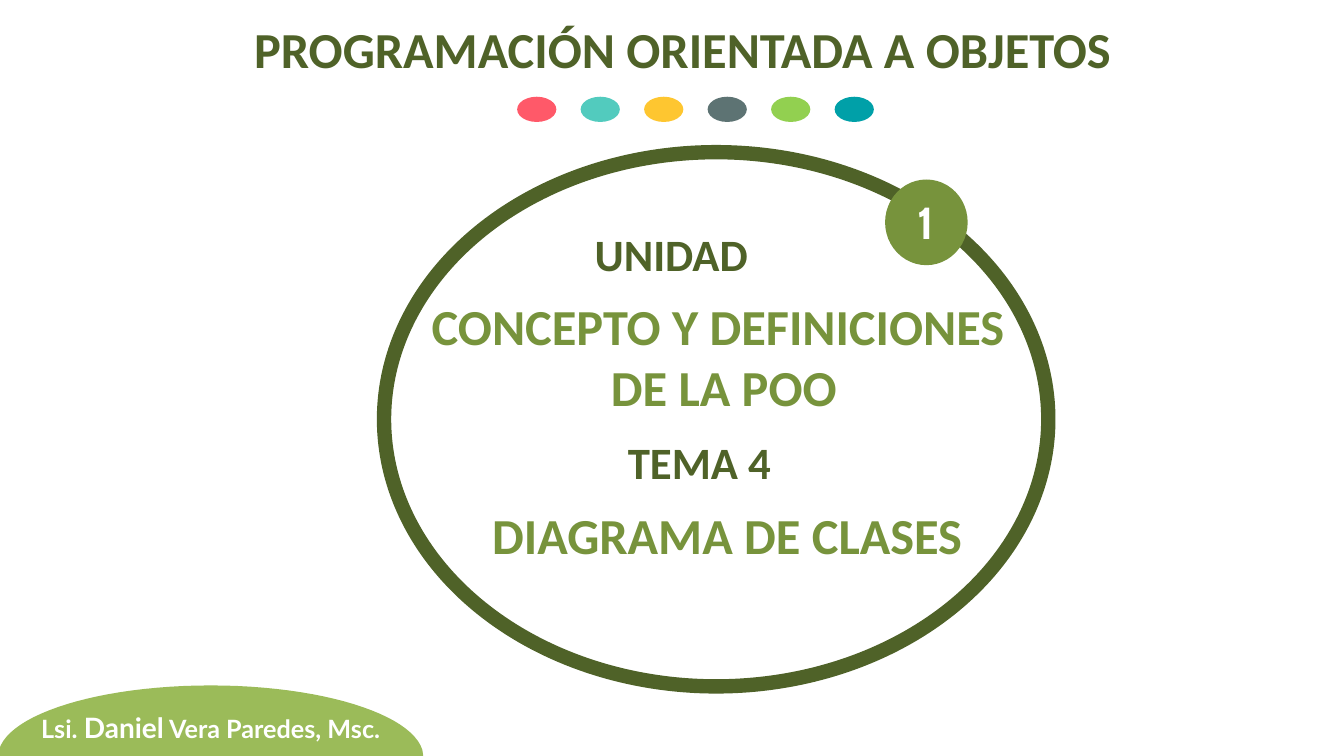
"""Build the opening slide of the object-oriented programming unit on class diagrams."""
from dataclasses import dataclass

from pptx import Presentation
from pptx import util as u
from pptx.dml.color import RGBColor
from pptx.enum import shapes, text

DARK, OLIVE, LEAF, WHITE = "4F6228", "77933C", "9BBB59", "FFFFFF"
DOT_COLOURS = ["FF5969", "52CBBE", "FEC630", "5D7373", "92D050", "00A0A8"]
DOT_LEFT, DOT_PITCH = 369.4, 45.36
CURVE_STEPS = 24

Point = tuple[float, float]


@dataclass
class Oval:
    left: float
    top: float
    width: float
    height: float
    fill: str
    line: str | None = None
    line_width: float = 0


@dataclass
class Run:
    words: str
    size: float


@dataclass
class Label:
    left: float
    top: float
    width: float
    height: float
    paragraphs: list[list[Run]]
    colour: str
    font: str = "Calibri"


def rgb(colour: str) -> RGBColor:
    """Turn a hex string into a colour."""
    return RGBColor.from_string(colour)


def draw_oval(slide, oval: Oval) -> None:
    """Draw a filled ellipse, outlined if it has a line colour."""
    ellipse = slide.shapes.add_shape(
        shapes.MSO_SHAPE.OVAL, u.Pt(oval.left), u.Pt(oval.top), u.Pt(oval.width), u.Pt(oval.height)
    )
    ellipse.shadow.inherit = False
    ellipse.fill.solid()
    ellipse.fill.fore_color.rgb = rgb(oval.fill)
    if oval.line:
        ellipse.line.color.rgb = rgb(oval.line)
        ellipse.line.width = u.Pt(oval.line_width)
    else:
        ellipse.line.fill.background()


def draw_label(slide, label: Label) -> None:
    """Draw a centred bold text box."""
    box = slide.shapes.add_textbox(
        u.Pt(label.left), u.Pt(label.top), u.Pt(label.width), u.Pt(label.height)
    )
    frame = box.text_frame
    frame.word_wrap = True
    frame.auto_size = text.MSO_AUTO_SIZE.SHAPE_TO_FIT_TEXT
    for index, runs in enumerate(label.paragraphs):
        paragraph = frame.add_paragraph() if index else frame.paragraphs[0]
        paragraph.alignment = text.PP_ALIGN.CENTER
        for part in runs:
            run = paragraph.add_run()
            run.text = part.words
            run.font.size = u.Pt(part.size)
            run.font.name = label.font
            run.font.bold = True
            run.font.color.rgb = rgb(label.colour)


def bezier(start: Point, control_1: Point, control_2: Point, end: Point) -> list[Point]:
    """Sample a cubic curve, leaving out its start."""
    points = []
    for step in range(1, CURVE_STEPS + 1):
        t = step / CURVE_STEPS
        weights = ((1 - t) ** 3, 3 * t * (1 - t) ** 2, 3 * t**2 * (1 - t), t**3)
        corners = (start, control_1, control_2, end)
        points.append(tuple(sum(w * c[axis] for w, c in zip(weights, corners)) for axis in (0, 1)))
    return points


def draw_author_mound(slide) -> None:
    """Draw the green mound behind the author's name."""
    left_foot, crest, right_foot = (-0.7, 535.7), (150.5, 489.6), (301.7, 535.7)
    outline = [(302.4, 540.7), (-1.4, 540.7), left_foot]
    outline += bezier(left_foot, (6.5, 509.8), (71.3, 489.6), crest)
    outline += bezier(crest, (229, 489.6), (293.8, 509.8), right_foot)
    corners = [(u.Pt(x), u.Pt(y)) for x, y in outline]
    builder = slide.shapes.build_freeform(*corners[0])
    builder.add_line_segments(corners[1:], close=True)
    mound = builder.convert_to_shape()
    mound.shadow.inherit = False
    mound.fill.solid()
    mound.fill.fore_color.rgb = rgb(LEAF)
    mound.line.fill.background()


def main() -> None:
    """Build and save the slide."""
    deck = Presentation()
    deck.slide_width, deck.slide_height = u.Pt(960), u.Pt(540)
    slide = deck.slides.add_slide(deck.slide_layouts[6])

    for index, colour in enumerate(DOT_COLOURS):
        draw_oval(slide, Oval(DOT_LEFT + index * DOT_PITCH, 69.1, 28, 18, colour))
    draw_author_mound(slide)
    draw_oval(slide, Oval(274.3, 108.7, 474.5, 381.6, WHITE, DARK, 10.25))
    draw_oval(slide, Oval(632.2, 128.2, 59, 61.2, OLIVE))

    author = [Run("Lsi. ", 18), Run("Daniel", 20), Run(" Vera Paredes, Msc.", 18)]
    concept = [[Run("CONCEPTO Y DEFINICIONES", 36)], [Run(" DE LA POO", 36)]]
    labels = [
        Label(136, 9.4, 703.4, 51, [[Run("PROGRAMACIÓN ORIENTADA A OBJETOS", 36)]], DARK),
        Label(21.6, 504, 257.8, 31.7, [author], WHITE, "Lato"),
        Label(624.2, 135.4, 74.9, 46, [[Run("1", 32)]], WHITE, "Cabin"),
        Label(359.3, 158.4, 247.7, 46, [[Run("UNIDAD ", 32)]], DARK),
        Label(306, 356.4, 427, 51, [[Run("DIAGRAMA DE CLASES", 36)]], OLIVE),
        Label(375.1, 306.7, 249.1, 46, [[Run("TEMA 4", 32)]], DARK),
        Label(284.4, 207.4, 457.2, 94.3, concept, OLIVE),
    ]
    for label in labels:
        draw_label(slide, label)

    deck.save("out.pptx")


if __name__ == "__main__":
    main()
